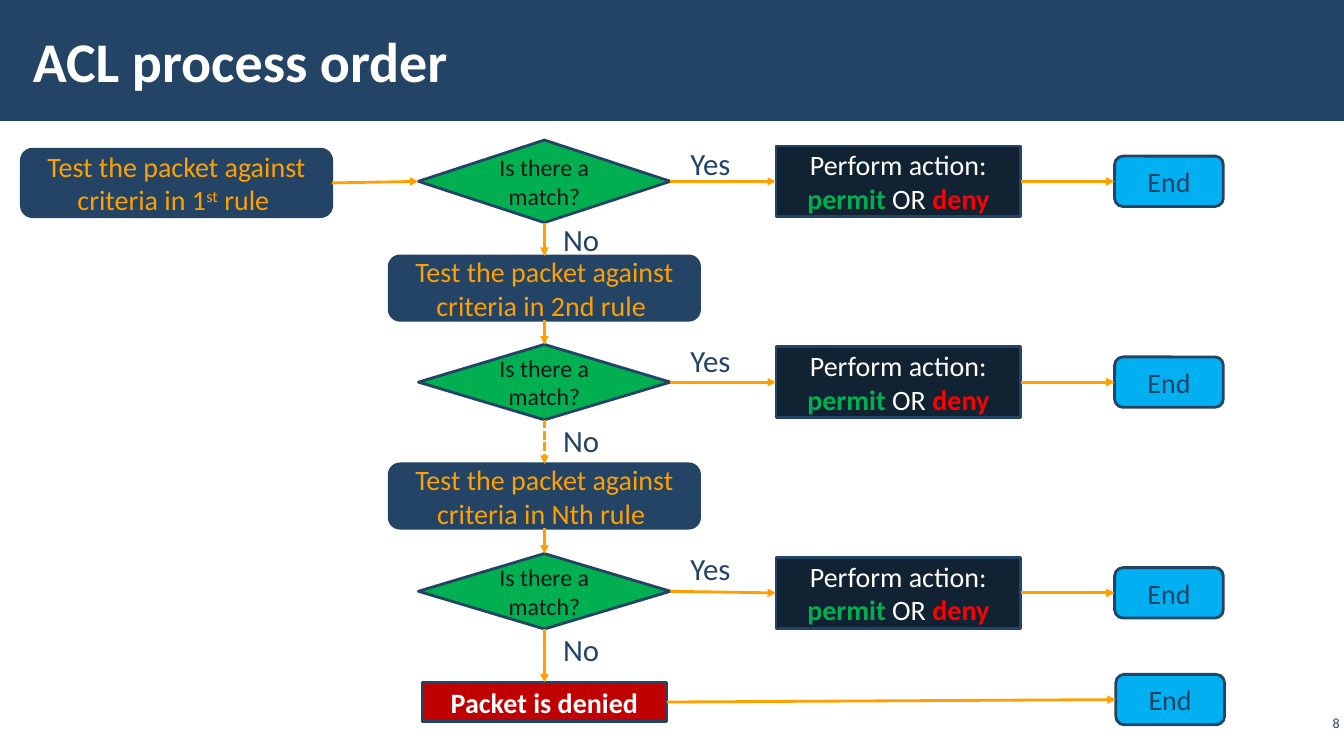
import pptx
import pptx.util
import pptx.dml.color
import pptx.enum.dml
import pptx.enum.shapes
import pptx.enum.text
import pptx.oxml
import pptx.oxml.ns
from pptx.util import Cm, Pt

SHAPES = pptx.enum.shapes.MSO_SHAPE
ALIGN = pptx.enum.text.PP_ALIGN
MIDDLE = pptx.enum.text.MSO_ANCHOR.MIDDLE
FONT = "Calibri"
COLORS = {
    "navy": "234465", "dark": "112233", "orange": "FFA000", "green": "00B050",
    "ink": "15171C", "blue": "00B0F0", "red": "FF0000", "crimson": "C00000",
    "white": "FFFFFF",
}

TITLE = "ACL process order"
PAGE_NUMBER = "8"
QUESTION = "Is there a match?"
# Runs: text, then optional font changes
ACTION = [("Perform action: ", {}), ("permit", {"color": "green", "bold": True}),
          (" OR ", {}), ("deny", {"color": "red", "bold": True})]
RULE_START = "Test the packet against criteria in "
# Centres, heights and label tops in cm
STEPS = [
    {"rule": [(RULE_START + "1", {}), ("st", {"superscript": True}), (" rule ", {})],
     "rule_center": (4.45, 4.61), "rule_height": 1.7, "match_y": 4.57,
     "match_height": 2.08, "action_y": 4.57, "yes_top": 3.53, "no_top": 5.44},
    {"rule": [(RULE_START + "2nd rule ", {})],
     "rule_center": (13.72, 7.26), "rule_height": 1.62, "match_y": 9.63,
     "match_height": 1.9, "action_y": 9.63, "yes_top": 8.48, "no_top": 10.49},
    {"rule": [(RULE_START + "Nth rule ", {})],
     "rule_center": (13.72, 12.5), "rule_height": 1.62, "match_y": 14.9,
     "match_height": 1.9, "action_y": 14.94, "yes_top": 13.72, "no_top": 15.77},
]
MATCH_X, ACTION_X, END_X = 13.72, 22.64, 29.46
DENIED_Y, LAST_END_Y = 17.69, 17.63
YES_LEFT, NO_LEFT = 17.15, 13.94
TOP, LEFT, BOTTOM, RIGHT = range(4)  # connection sites

# Kind: preset, width, fill, text colour, text size, bold
KINDS = {
    "rule": (SHAPES.ROUNDED_RECTANGLE, 7.82, "navy", "orange", 20, False),
    "match": (SHAPES.FLOWCHART_DECISION, 6.35, "green", "ink", 17, False),
    "action": (SHAPES.RECTANGLE, 6.17, "dark", "white", 20, False),
    "end": (SHAPES.ROUNDED_RECTANGLE, 2.74, "blue", "navy", 20, False),
    "denied": (SHAPES.RECTANGLE, 6.17, "crimson", "white", 20, True),
}


def rgb(name):
    return pptx.dml.color.RGBColor.from_string(COLORS[name])


def write_text(shape, runs, color, size, bold=False, align=ALIGN.CENTER):
    paragraph = shape.text_frame.paragraphs[0]
    paragraph.alignment = align
    paragraph.font.name = FONT
    paragraph.font.size = Pt(size)
    paragraph.font.bold = bold
    paragraph.font.color.rgb = rgb(color)
    for text, style in runs:
        run = paragraph.add_run()
        run.text = text
        if "color" in style:
            run.font.color.rgb = rgb(style["color"])
        if "bold" in style:
            run.font.bold = style["bold"]
        if "superscript" in style:
            run._r.get_or_add_rPr().set("baseline", "30000")


def add_node(slide, kind, runs, center_x, center_y, height):
    preset, width, fill, color, size, bold = KINDS[kind]
    shape = slide.shapes.add_shape(
        preset, Cm(center_x - width / 2), Cm(center_y - height / 2),
        Cm(width), Cm(height))
    shape.shadow.inherit = False
    shape.fill.solid()
    shape.fill.fore_color.rgb = rgb(fill)
    shape.line.color.rgb = rgb("navy")
    shape.line.width = Pt(2)
    shape.text_frame.word_wrap = True
    shape.text_frame.vertical_anchor = MIDDLE
    write_text(shape, runs, color, size, bold)
    return shape


def add_end(slide, center_x, center_y):
    return add_node(slide, "end", [("End", {})], center_x, center_y, 1.27)


def add_arrow(slide, source, source_site, target, target_site, dashed=False):
    connector = slide.shapes.add_connector(
        pptx.enum.shapes.MSO_CONNECTOR.STRAIGHT, 0, 0, 0, 0)
    connector.begin_connect(source, source_site)
    connector.end_connect(target, target_site)
    connector.line.color.rgb = rgb("orange")
    connector.line.width = Pt(2)
    if dashed:
        connector.line.dash_style = pptx.enum.dml.MSO_LINE.SQUARE_DOT
    namespace = pptx.oxml.ns.nsdecls("a")
    connector.line._get_or_add_ln().append(
        pptx.oxml.parse_xml(f'<a:tailEnd {namespace} type="triangle"/>'))
    connector._element.spPr.append(
        pptx.oxml.parse_xml(f"<a:effectLst {namespace}/>"))


def add_label(slide, text, left, top, width):
    box = slide.shapes.add_textbox(Cm(left), Cm(top), Cm(width), Cm(1.19))
    box.text_frame.word_wrap = False
    box.text_frame.auto_size = pptx.enum.text.MSO_AUTO_SIZE.SHAPE_TO_FIT_TEXT
    write_text(box, [(text, {})], "navy", 22, align=ALIGN.LEFT)


def add_frame_text(slide, text, bounds, inset, color, size, bold, align):
    """Add the title or the page number, centred vertically in its box."""
    box = slide.shapes.add_textbox(*(Cm(length) for length in bounds))
    frame = box.text_frame
    frame.word_wrap = True
    frame.vertical_anchor = MIDDLE
    frame.margin_left = frame.margin_right = Cm(inset)
    frame.margin_top = frame.margin_bottom = Cm(0.1)
    write_text(box, [(text, {})], color, size, bold, align)


def add_flow(slide):
    previous_match = None
    for number, step in enumerate(STEPS):
        rule = add_node(slide, "rule", step["rule"], *step["rule_center"],
                        step["rule_height"])
        match = add_node(slide, "match", [(QUESTION, {})], MATCH_X,
                         step["match_y"], step["match_height"])
        action = add_node(slide, "action", ACTION, ACTION_X, step["action_y"], 1.78)
        end = add_end(slide, END_X, step["action_y"])
        if previous_match is None:
            add_arrow(slide, rule, RIGHT, match, LEFT)
        else:
            skips_rules = number == len(STEPS) - 1
            add_arrow(slide, previous_match, BOTTOM, rule, TOP, dashed=skips_rules)
            add_arrow(slide, rule, BOTTOM, match, TOP)
        add_arrow(slide, match, RIGHT, action, LEFT)
        add_arrow(slide, action, RIGHT, end, LEFT)
        add_label(slide, "Yes", YES_LEFT, step["yes_top"], 1.55)
        add_label(slide, "No", NO_LEFT, step["no_top"], 1.42)
        previous_match = match

    denied = add_node(slide, "denied", [("Packet is denied", {})],
                      MATCH_X, DENIED_Y, 0.99)
    last_end = add_end(slide, END_X + 0.03, LAST_END_Y)
    add_arrow(slide, previous_match, BOTTOM, denied, TOP)
    add_arrow(slide, denied, RIGHT, last_end, LEFT)


def main():
    presentation = pptx.Presentation()
    presentation.slide_width = Cm(33.87)
    presentation.slide_height = Cm(19.05)
    slide = presentation.slides.add_slide(presentation.slide_layouts[6])

    banner = slide.shapes.add_shape(
        SHAPES.RECTANGLE, 0, 0, presentation.slide_width, Cm(3.05))
    banner.shadow.inherit = False
    banner.fill.solid()
    banner.fill.fore_color.rgb = rgb("navy")
    banner.line.fill.background()
    add_frame_text(slide, TITLE, (0.53, 0.28, 26.42, 2.46), 0.3,
                   "white", 40, True, ALIGN.LEFT)
    add_frame_text(slide, PAGE_NUMBER, (32.66, 17.78, 1.2, 0.86), 0.1,
                   "navy", 10, False, ALIGN.RIGHT)
    add_flow(slide)
    presentation.save("out.pptx")


if __name__ == "__main__":
    main()
